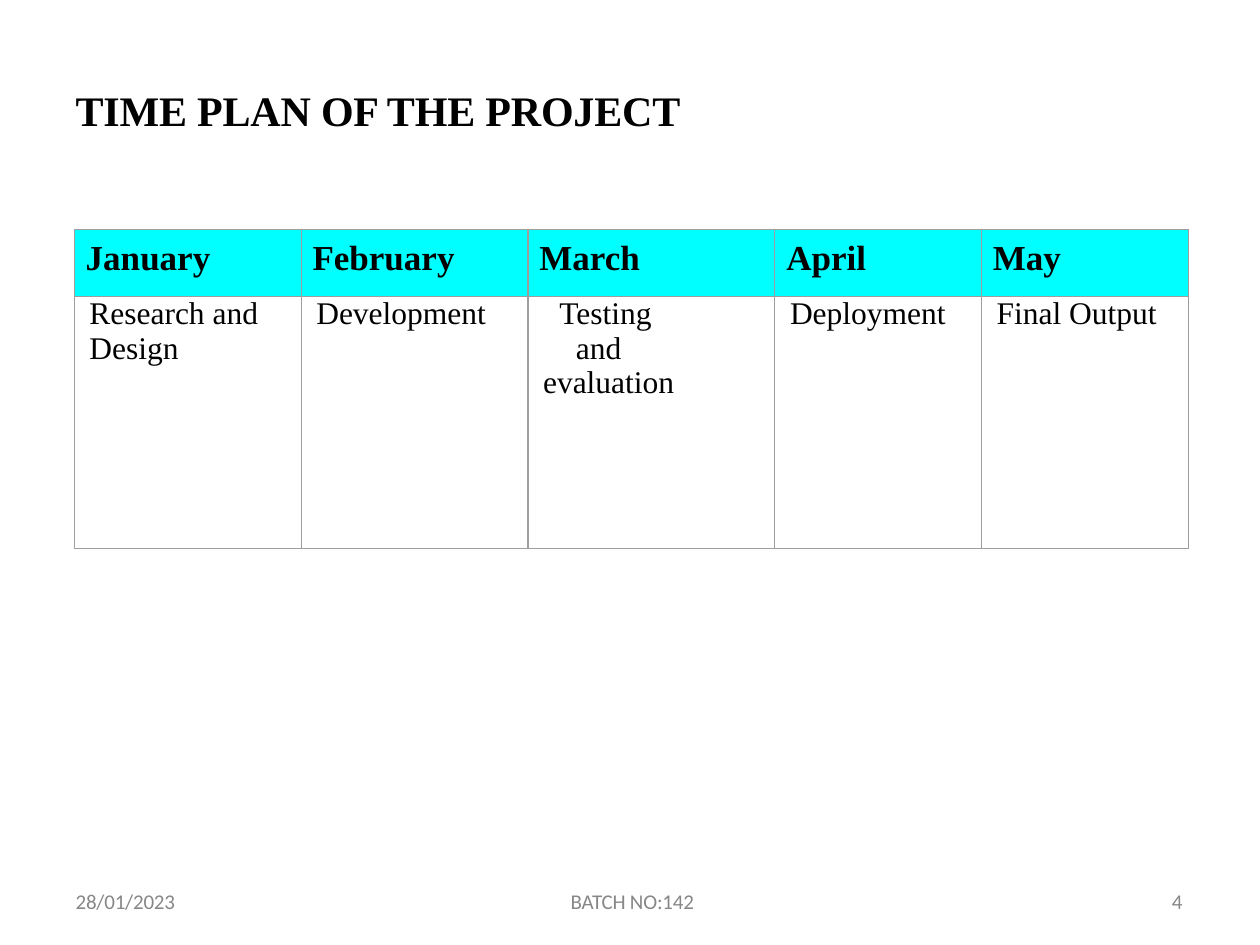
from lxml.etree import SubElement
from pptx import Presentation
from pptx.dml.color import RGBColor
from pptx.oxml.ns import qn
from pptx.util import Inches, Pt

SERIF = "Times New Roman"
MONTHS = ["January", "February", "March", "April", "May"]
TASKS = [
    [("Research and", 0.12), ("Design", 0.12)],
    [("Development", 0.12)],
    [("Testing", 0.25), ("and", 0.38), ("evaluation", 0.12)],
    [("Deployment", 0.12)],
    [("Final Output", 0.12)],
]


def rgb(value):
    """Return the colour for a hex string."""
    return RGBColor.from_string(value)


def style(p, size, font=SERIF, color="000000", bold=False, indent=0.01):
    """Set the font and left indent of a paragraph."""
    p.font.size, p.font.name, p.font.bold = Pt(size), font, bold
    p.font.color.rgb = rgb(color)
    ppr = p._p.get_or_add_pPr()
    ppr.set("marL", str(Inches(indent)))
    ppr.set("indent", "0")


def add_text(s, box, text, **font):
    """Place one line of text in a box without margins."""
    tf = s.shapes.add_textbox(*map(Inches, box)).text_frame
    tf.word_wrap = True
    tf.margin_left = tf.margin_top = tf.margin_right = tf.margin_bottom = 0
    p = tf.paragraphs[0]
    p.text = text
    style(p, **font)
    for r in p.runs:
        r.font._element.set("spc", "-10")
    return p


def add_title(s, box):
    """Place the slide title."""
    p = add_text(s, box, "TIME PLAN OF THE PROJECT", size=24, bold=True)
    p.space_before = Pt(1)


def add_footer(s, left, top, height):
    """Place the date, batch number and slide number on one row."""
    parts = [(0, 0.91, "28/01/2023"), (3.93, 2.57, "BATCH NO:142"), (8.7, 0.14, "4")]
    for dx, width, text in parts:
        p = add_text(s, (left + dx, top, width, height), text,
                     size=12, font="Calibri", color="878787")
        p.line_spacing = Pt(12.4)


def set_borders(cell, color, width):
    """Draw a solid line on all four sides of a cell."""
    tcpr = cell._tc.get_or_add_tcPr()
    for i, side in enumerate(("lnL", "lnR", "lnT", "lnB")):
        ln = SubElement(tcpr, qn(f"a:{side}"), w=str(Pt(width)))
        fill = SubElement(ln, qn("a:solidFill"))
        SubElement(fill, qn("a:srgbClr"), val=color)
        tcpr.insert(i, ln)


def fill_cell(cell, lines, fill=None, top=0, **font):
    """Write indented lines in a cell and set its fill and borders."""
    cell.margin_left = cell.margin_right = cell.margin_bottom = 0
    cell.margin_top = Inches(top)
    tf = cell.text_frame
    tf.text = "\n".join(text for text, _ in lines)
    for p, (_, indent) in zip(tf.paragraphs, lines):
        style(p, indent=indent, **font)
    if fill:
        cell.fill.solid()
        cell.fill.fore_color.rgb = rgb(fill)
    else:
        cell.fill.background()
    set_borders(cell, "9E9E9E", 0.75)


def add_plan(s, box):
    """Place the table of months and tasks."""
    table = s.shapes.add_table(2, len(MONTHS), *map(Inches, box)).table
    table.first_row = table.horz_banding = False
    for col, width in zip(table.columns, (1.8, 1.8, 1.96, 1.64, 1.64)):
        col.width = Inches(width)
    for row, height in zip(table.rows, (0.53, 2)):
        row.height = Inches(height)
    for i, (month, task) in enumerate(zip(MONTHS, TASKS)):
        fill_cell(table.cell(0, i), [(month, 0.09)], "00FFFF", 0.08, size=20, bold=True)
        fill_cell(table.cell(1, i), task, size=18)


def main():
    """Build the slide and save it."""
    prs = Presentation()
    prs.slide_width, prs.slide_height = Inches(10), Inches(7.5)
    s = prs.slides.add_slide(prs.slide_layouts[6])
    add_footer(s, 0.59, 7.08, 0.33)
    add_title(s, (0.59, 0.67, 4.85, 1))
    add_plan(s, (0.59, 1.82, 8.84, 2.53))
    prs.save("out.pptx")


if __name__ == "__main__":
    main()
